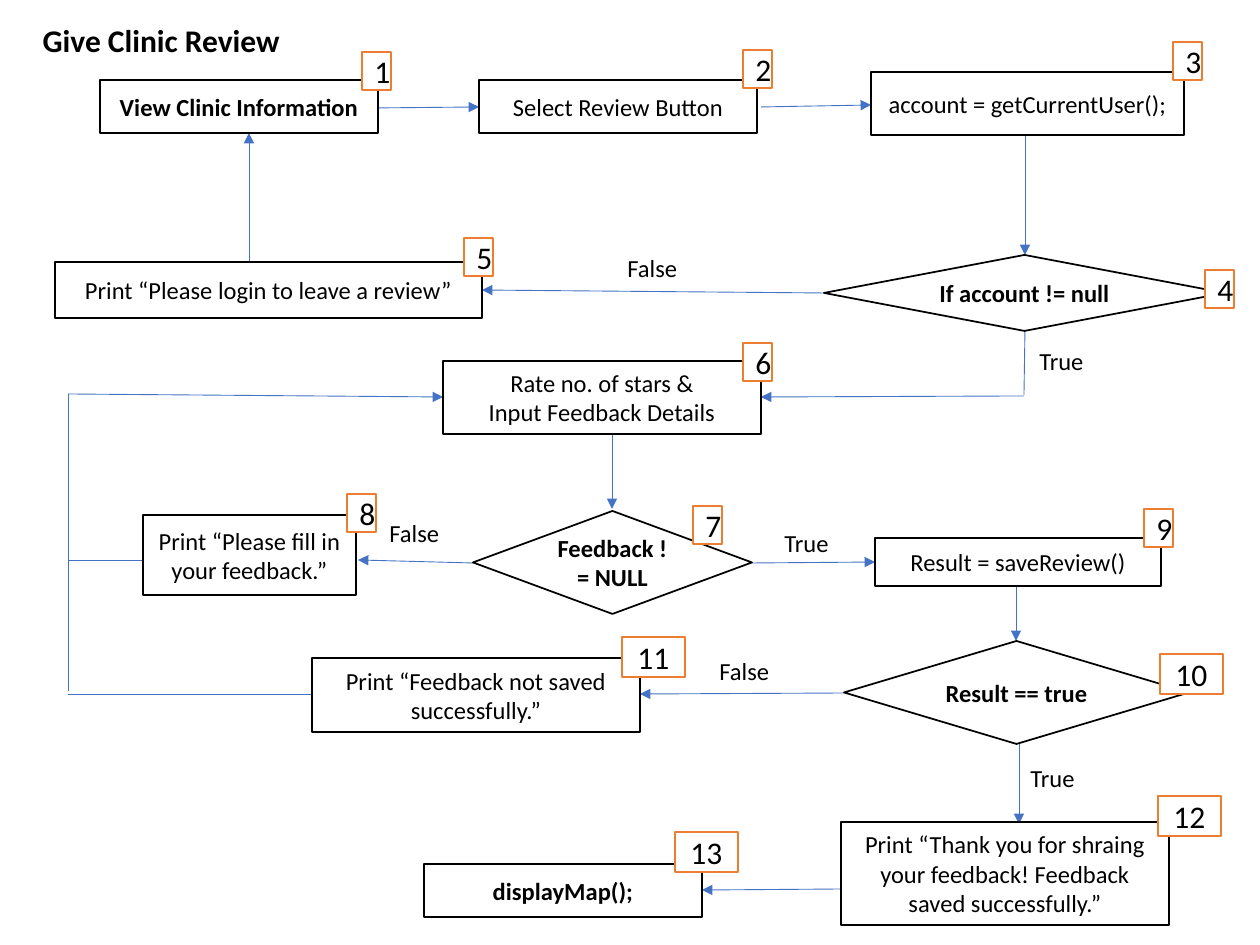
from lxml import etree
from pptx import Presentation
from pptx.dml.color import RGBColor
from pptx.enum.shapes import MSO_CONNECTOR, MSO_SHAPE
from pptx.enum.text import MSO_ANCHOR, MSO_AUTO_SIZE, PP_ALIGN
from pptx.oxml.ns import qn
from pptx.util import Pt

RECT, DIAMOND = MSO_SHAPE.RECTANGLE, MSO_SHAPE.DIAMOND
STRAIGHT = MSO_CONNECTOR.STRAIGHT
LEFT, CENTER = PP_ALIGN.LEFT, PP_ALIGN.CENTER
TOP, MIDDLE = MSO_ANCHOR.TOP, MSO_ANCHOR.MIDDLE
GROW = MSO_AUTO_SIZE.SHAPE_TO_FIT_TEXT

BLACK = RGBColor(0x00, 0x00, 0x00)
WHITE = RGBColor(0xFF, 0xFF, 0xFF)
BLUE = RGBColor(0x44, 0x72, 0xC4)
ORANGE = RGBColor(0xED, 0x7D, 0x31)

SCALE = 914400 / 126  # EMU per pixel
PLAIN = {"name": "Calibri", "size": Pt(14), "bold": False}
BOLD = {**PLAIN, "bold": True}
BIG = {**PLAIN, "size": Pt(18)}
HEAD = {**BIG, "bold": True}
LABEL = {"word_wrap": False, "auto_size": GROW, "vertical_anchor": TOP}
INNER = {"word_wrap": True, "vertical_anchor": MIDDLE}

# Steps: shape, left, top, width, height, text, font
STEPS = [
    (RECT, 100, 80, 278, 53, "View Clinic Information", BOLD),
    (RECT, 479, 80, 278, 53, "Select Review Button", PLAIN),
    (RECT, 871, 72, 313, 63, "account = getCurrentUser();", PLAIN),
    (DIAMOND, 824, 255, 401, 76, "If account != null", BOLD),
    (RECT, 55, 262, 427, 56, "Print “Please login to leave a review”", PLAIN),
    (RECT, 443, 361, 318, 73, "Rate no. of stars &\nInput Feedback Details", PLAIN),
    (DIAMOND, 473, 511, 279, 103, "Feedback != NULL", BOLD),
    (RECT, 143, 515, 213, 80, "Print “Please fill in your feedback.”", PLAIN),
    (RECT, 875, 538, 286, 48, "Result = saveReview()", PLAIN),
    (DIAMOND, 844, 641, 345, 103, "Result == true", BOLD),
    (RECT, 312, 658, 328, 74, "Print “Feedback not saved successfully.”", PLAIN),
    (RECT, 841, 822, 328, 103,
     "Print “Thank you for shraing your feedback! Feedback saved successfully.”", PLAIN),
    (RECT, 424, 864, 278, 53, "displayMap();", BOLD),
]

# Left and top of the step numbers, in order
BADGES = [(362, 52), (743, 50), (1173, 42), (1205, 270), (464, 238), (743, 343),
          (693, 506), (347, 494), (1144, 509), (1160, 654), (622, 637),
          (1158, 796), (675, 832)]

# Links: from x, y, to x, y
ARROWS = [
    (369, 108, 479, 107), (761, 107, 871, 105), (1025, 134, 1025, 255),
    (824, 293, 482, 290), (249, 262, 249, 133), (1024, 396, 761, 397),
    (68, 394, 443, 397), (612, 434, 612, 509), (473, 563, 358, 560),
    (752, 563, 875, 562), (1016, 587, 1016, 641), (844, 693, 640, 694),
    (1019, 744, 1019, 824), (841, 889, 702, 890),
]
LINES = [(68, 694, 312, 694), (68, 394, 68, 691), (68, 560, 143, 560),
         (1025, 331, 1024, 395)]

# Branch labels: left, top, text
BRANCHES = [(1027, 340, "True"), (377, 512, "False"), (1018, 757, "True"),
            (772, 522, "True"), (615, 247, "False"), (707, 650, "False")]


def emu(*pixels):
    return [round(p * SCALE) for p in pixels]


def apply(target, values):
    for key, value in values.items():
        setattr(target, key, value)


def write(shape, text, font, frame, align):
    body = shape.text_frame
    body.text = text
    apply(body, frame)
    for para in body.paragraphs:
        para.alignment = align
        for run in para.runs:
            apply(run.font, font)
            run.font.color.rgb = BLACK


def add_box(slide, kind, left, top, width, height, text, font, edge=BLACK):
    shape = slide.shapes.add_shape(kind, *emu(left, top, width, height))
    shape.shadow.inherit = False
    shape.fill.solid()
    shape.fill.fore_color.rgb = WHITE
    shape.line.color.rgb = edge
    shape.line.width = Pt(1)
    write(shape, text, font, INNER, CENTER)


def add_badge(slide, number, left, top):
    width, height = (29, 38) if number < 10 else (63, 40)
    add_box(slide, RECT, left, top, width, height, str(number), BIG, ORANGE)


def add_link(slide, ends, arrow):
    link = slide.shapes.add_connector(STRAIGHT, *emu(*ends))
    link.line.color.rgb = BLUE
    link.line.width = Pt(0.5)
    props = link._element.spPr
    if arrow:
        etree.SubElement(props.find(qn("a:ln")), qn("a:tailEnd"), type="triangle")
    etree.SubElement(props, qn("a:effectLst"))


def add_label(slide, left, top, text):
    width = 70 if text == "True" else 76
    shape = slide.shapes.add_textbox(*emu(left, top, width, 42))
    write(shape, text, PLAIN, LABEL, LEFT)


def set_title(slide, text):
    title = slide.shapes.title
    spots = emu(30, 15, 265, 51)
    apply(title, dict(zip(("left", "top", "width", "height"), spots)))
    write(title, text, HEAD, LABEL, LEFT)


def main():
    deck = Presentation()
    deck.slide_width, deck.slide_height = emu(1260, 945)
    slide = deck.slides.add_slide(deck.slide_layouts[5])
    set_title(slide, "Give Clinic Review")

    # Flow
    for links, arrow in ((ARROWS, True), (LINES, False)):
        for ends in links:
            add_link(slide, ends, arrow)
    for step in STEPS:
        add_box(slide, *step)

    # Labels and numbers
    for branch in BRANCHES:
        add_label(slide, *branch)
    for number, spot in enumerate(BADGES, 1):
        add_badge(slide, number, *spot)

    deck.save("out.pptx")


main()
